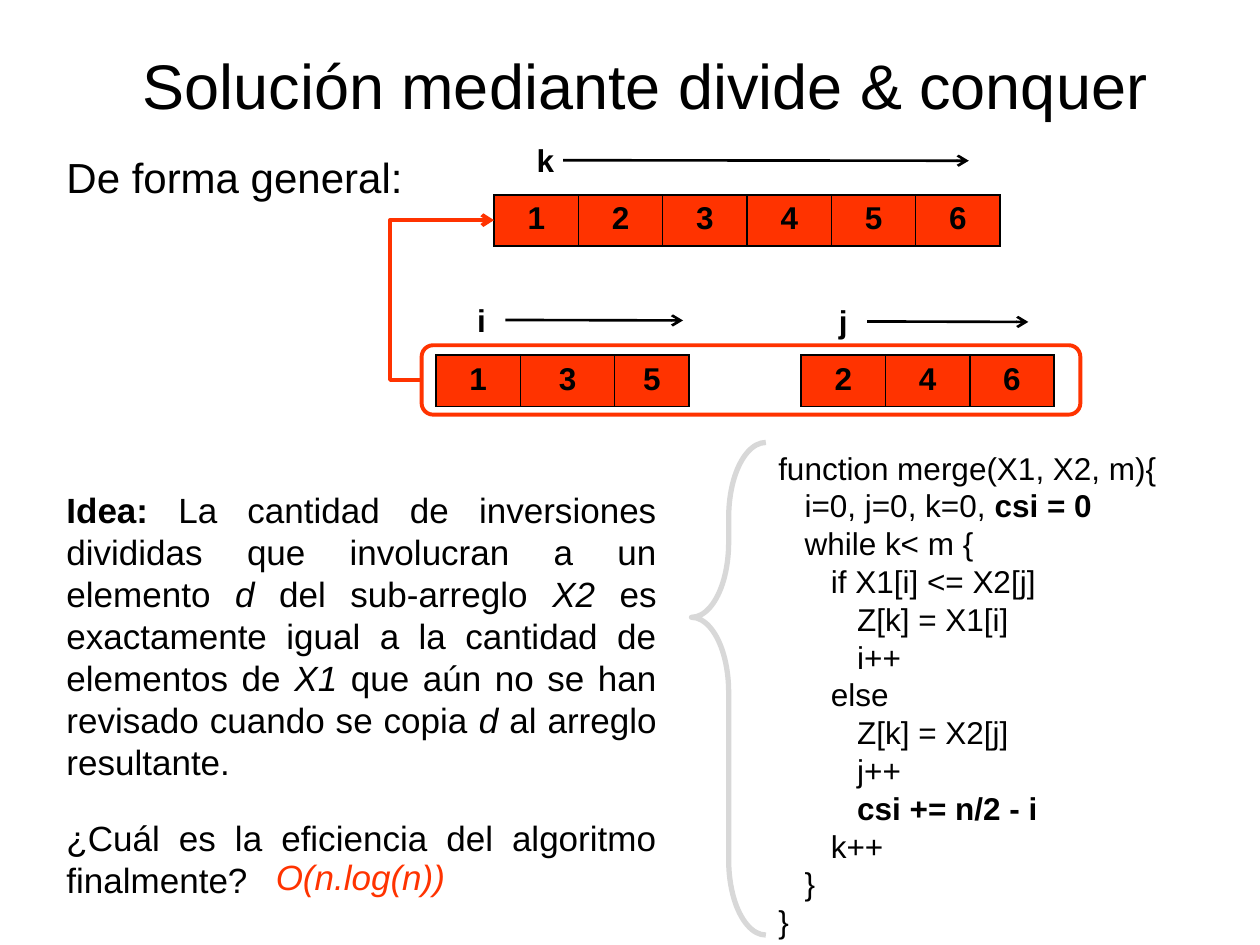
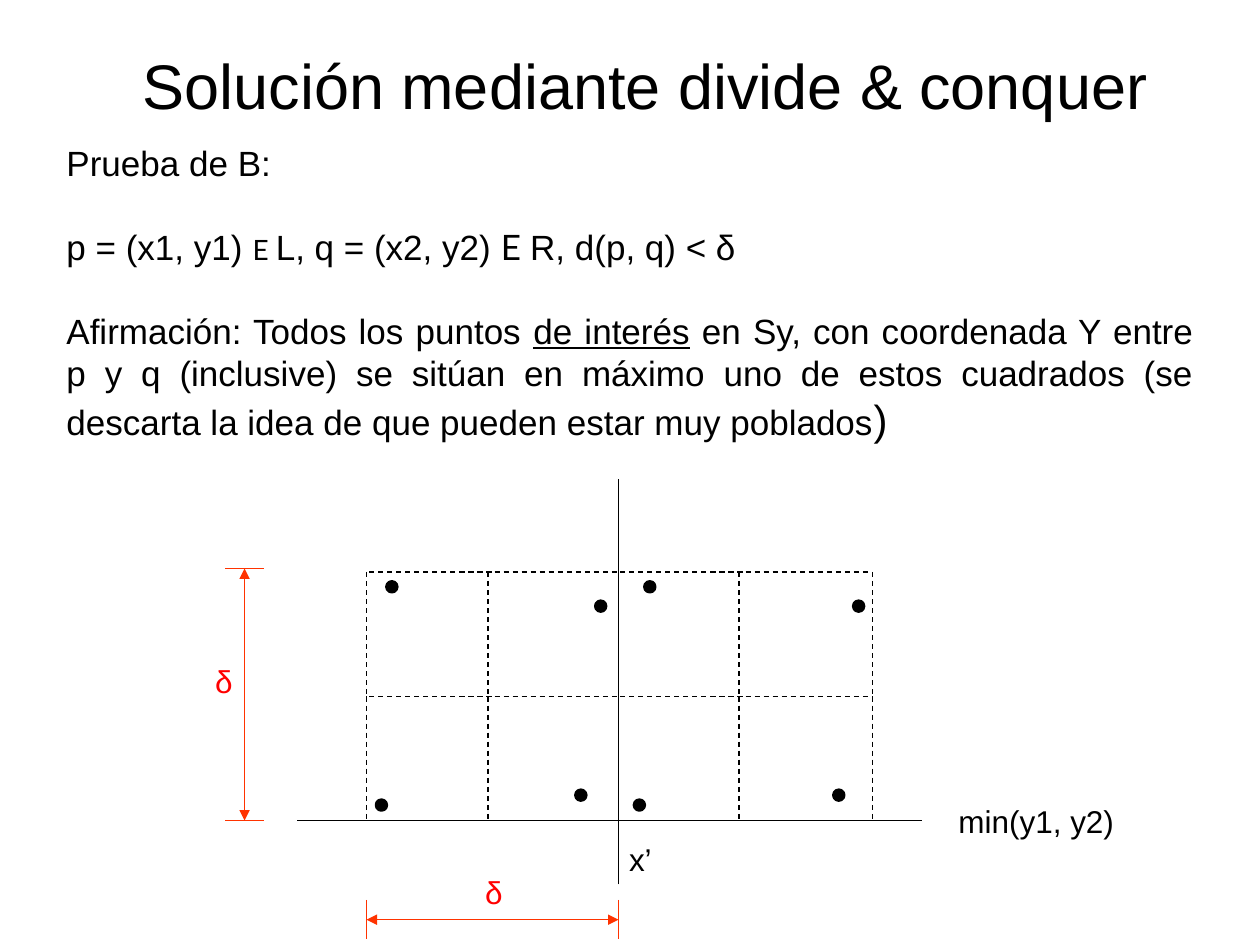
from dataclasses import dataclass
from typing import Optional

from lxml import etree
from pptx import Presentation
from pptx.dml.color import RGBColor
from pptx.enum.dml import MSO_LINE
from pptx.enum.shapes import MSO_CONNECTOR, MSO_SHAPE
from pptx.enum.text import MSO_ANCHOR, PP_ALIGN
from pptx.oxml.ns import qn
from pptx.util import Cm, Pt

STRAIGHT, ELBOW = MSO_CONNECTOR.STRAIGHT, MSO_CONNECTOR.ELBOW
ROUND_BOX, BRACE, DOT = MSO_SHAPE.ROUNDED_RECTANGLE, MSO_SHAPE.LEFT_BRACE, MSO_SHAPE.OVAL
LEFT, CENTER, JUSTIFY = PP_ALIGN.LEFT, PP_ALIGN.CENTER, PP_ALIGN.JUSTIFY
TOP, BOTTOM = MSO_ANCHOR.TOP, MSO_ANCHOR.BOTTOM
DASH = MSO_LINE.DASH

COLORS = {"ink": "000000", "accent": "FF3300", "delta": "FF0000", "brace": "D8D8D8"}
FONT, SYMBOL_FONT = "Arial", "Lato"
TITLE = "Solución mediante divide & conquer"
CODE_INDENT = 0.53


@dataclass
class Span:
    text: str
    bold: bool = False
    italic: bool = False
    underline: bool = False
    size: Optional[float] = None
    font: str = FONT


@dataclass
class Para:
    spans: list[Span]
    indent: float = 0
    before: float = 0


@dataclass
class TextBlock:
    left: float
    top: float
    width: float
    height: float
    paras: list[Para]
    size: float = 18
    align: PP_ALIGN = JUSTIFY
    color: str = "ink"
    anchor: MSO_ANCHOR = TOP
    wrap: bool = True


@dataclass
class Line:
    x1: float
    y1: float
    x2: float
    y2: float
    color: str = "ink"
    width: float = 0.75
    dash: bool = False
    head: str = ""
    tail: str = ""
    kind: MSO_CONNECTOR = STRAIGHT


@dataclass
class ArrayStrip:
    left: float
    top: float
    values: str
    widths: list[float]


def rgb(name: str) -> RGBColor:
    return RGBColor.from_string(COLORS[name])


def plain(text: str, **style) -> list[Para]:
    return [Para([Span(text, **style)])]


def add_span(para, span: Span, size: float, color: str) -> None:
    run = para.add_run()
    run.text = span.text
    font = run.font
    font.name, font.size = span.font, Pt(span.size or size)
    font.bold, font.italic, font.underline = span.bold, span.italic, span.underline
    font.color.rgb = rgb(color)


def add_text(page, block: TextBlock) -> None:
    box = page.shapes.add_textbox(Cm(block.left), Cm(block.top), Cm(block.width), Cm(block.height))
    frame = box.text_frame
    frame.word_wrap, frame.vertical_anchor = block.wrap, block.anchor
    for index, item in enumerate(block.paras):
        para = frame.paragraphs[0] if index == 0 else frame.add_paragraph()
        para.alignment, para.space_before = block.align, Pt(item.before)
        if item.indent:
            para._p.get_or_add_pPr().set("marL", str(Cm(item.indent)))
        for span in item.spans:
            add_span(para, span, block.size, block.color)


def add_line(page, line: Line):
    connector = page.shapes.add_connector(
        line.kind, Cm(line.x1), Cm(line.y1), Cm(line.x2), Cm(line.y2))
    connector.line.color.rgb = rgb(line.color)
    connector.line.width = Pt(line.width)
    if line.dash:
        connector.line.dash_style = DASH
    outline = connector.line._get_or_add_ln()
    for tag, arrow in (("a:headEnd", line.head), ("a:tailEnd", line.tail)):
        if arrow:
            etree.SubElement(outline, qn(tag), type=arrow)
    etree.SubElement(connector._element.spPr, qn("a:effectLst"))
    return connector


def add_figure(page, kind, left: float, top: float, width: float, height: float,
               color: str, weight: float, filled: bool = False):
    shape = page.shapes.add_shape(kind, Cm(left), Cm(top), Cm(width), Cm(height))
    shape.shadow.inherit = False
    shape.line.color.rgb, shape.line.width = rgb(color), Pt(weight)
    if filled:
        shape.fill.solid()
        shape.fill.fore_color.rgb = rgb(color)
    else:
        shape.fill.background()
    return shape


def add_borders(cell) -> None:
    properties = cell._tc.get_or_add_tcPr()
    for index, tag in enumerate(("a:lnL", "a:lnR", "a:lnT", "a:lnB")):
        border = etree.Element(qn(tag), w=str(Pt(1)))
        fill = etree.SubElement(border, qn("a:solidFill"))
        etree.SubElement(fill, qn("a:srgbClr"), val=COLORS["ink"])
        properties.insert(index, border)


def add_strip(page, strip: ArrayStrip) -> None:
    table = page.shapes.add_table(1, len(strip.values), Cm(strip.left), Cm(strip.top),
                                  Cm(sum(strip.widths)), Cm(1.03)).table
    table.first_row = table.horz_banding = False
    for column, (value, width) in enumerate(zip(strip.values, strip.widths)):
        table.columns[column].width = Cm(width)
        cell = table.cell(0, column)
        cell.fill.solid()
        cell.fill.fore_color.rgb = rgb("accent")
        add_borders(cell)
        para = cell.text_frame.paragraphs[0]
        para.alignment = CENTER
        add_span(para, Span(value, bold=True), 18, "ink")


def add_page(deck):
    page = deck.slides.add_slide(deck.slide_layouts[6])
    add_text(page, TextBlock(2.11, 0.53, 21.79, 2.06, plain(TITLE), 36, CENTER, anchor=BOTTOM))
    return page


def build_merge_page(deck) -> None:
    page = add_page(deck)
    add_text(page, TextBlock(1.09, 2.92, 23.22, 1.4, plain("De forma general:"), 24))

    # Merged array above its two sorted halves
    for strip in (ArrayStrip(8.79, 7.16, "135", [1.7, 1.9, 1.5]),
                  ArrayStrip(16.15, 7.16, "246", [1.7] * 3),
                  ArrayStrip(9.96, 3.93, "123456", [1.7] * 6)):
        add_strip(page, strip)
    add_figure(page, ROUND_BOX, 8.5, 6.96, 13.28, 1.4, "accent", 2.25)
    feed = add_line(page, Line(8.5, 7.66, 9.96, 4.44, "accent", 2.25, tail="arrow", kind=ELBOW))
    guides = feed._element.spPr.find(qn("a:prstGeom")).get_or_add_avLst()
    etree.SubElement(guides, qn("a:gd"), name="adj1", fmla="val -43500")

    # Index names with their direction of travel
    for name, left, top, start, end in (("k", 10.57, 2.72, 11.35, 19.53),
                                        ("i", 9.37, 5.94, 10.19, 13.77),
                                        ("j", 16.66, 5.97, 17.48, 20.73)):
        add_text(page, TextBlock(left, top, 0.79, 1.02, plain(name, bold=True), align=LEFT))
        add_line(page, Line(start, top + 0.51, end, top + 0.52, width=1.5, tail="arrow"))

    # Pseudocode: depth, plain part, bold part
    code = [
        (0, "function merge(X1, X2, m){", ""),
        (1, "i=0, j=0, k=0, ", "csi = 0"),
        (1, "while k< m {", ""),
        (2, "if X1[i] <= X2[j]", ""),
        (3, "Z[k] = X1[i]", ""),
        (3, "i++", ""),
        (2, "else", ""),
        (3, "Z[k] = X2[j]", ""),
        (3, "j++", ""),
        (3, "", "csi += n/2 - i"),
        (2, "k++", ""),
        (1, "}", ""),
        (0, "}", ""),
    ]
    code_paras = [
        Para([Span(text, bold) for text, bold in ((normal, False), (strong, True)) if text],
             indent=depth * CODE_INDENT)
        for depth, normal, strong in code]
    add_text(page, TextBlock(15.44, 8.92, 8.64, 9.93, code_paras))
    brace = add_figure(page, BRACE, 13.94, 8.92, 1.5, 9.93, "brace", 3)
    brace.adjustments[0], brace.adjustments[1] = 1.008, 0.355

    # Idea and efficiency
    idea = Para([
        Span("Idea:", bold=True),
        Span(" La cantidad de inversiones divididas que involucran a un elemento "),
        Span("d", italic=True),
        Span(" del sub-arreglo "),
        Span("X2", italic=True),
        Span(" es exactamente igual a la cantidad de elementos de "),
        Span("X1", italic=True),
        Span(" que aún no se han revisado cuando se copia "),
        Span("d", italic=True),
        Span(" al arreglo resultante."),
    ])
    add_text(page, TextBlock(1.09, 9.73, 12.4, 6.2, [idea], 20))
    question = plain("¿Cuál es la eficiencia del algoritmo finalmente?")
    add_text(page, TextBlock(1.09, 16.33, 12.4, 2.21, question, 20))
    add_text(page, TextBlock(5.31, 17.12, 4.24, 1.09, plain("O(n.log(n))", italic=True), 20,
                             color="accent"))


def build_proof_page(deck) -> None:
    page = add_page(deck)
    proof = [
        Para([Span("Prueba de B:")]),
        Para([Span("p = (x1, y1) "), Span("E ", size=16, font=SYMBOL_FONT),
              Span("L, q = (x2, y2) "), Span("E ", font=SYMBOL_FONT),
              Span("R, d(p, q) < δ")], before=24),
        Para([Span("Afirmación: Todos los puntos "), Span("de interés", underline=True),
              Span(" en Sy, con coordenada Y entre p y q (inclusive) se sitúan en máximo uno de "
                   "estos cuadrados (se descarta la idea de que pueden estar muy poblados"),
              Span(")", size=24)], before=24),
    ]
    add_text(page, TextBlock(1.09, 2.72, 23.22, 6.2, proof, 20))

    # Axes
    left, axis, base = 7.39, 12.47, 16.54
    add_line(page, Line(5.99, base, 18.59, base))
    add_line(page, Line(axis, 17.83, axis, 9.65))

    # Dashed squares
    row_tops = (11.53, 14.04)
    for top in row_tops:
        for column in range(4):
            start = 7.44 + 2.53 * column
            add_line(page, Line(start, top, start + 2.5, top, dash=True))
        for x in (left, 9.84, 14.9, 17.59):
            add_line(page, Line(x, top, x, top + 2.5, dash=True))

    # Points, the same four on each side of the axis
    for shift in (0, 5.2):
        for x, y in ((7.8, 11.73), (7.59, 16.13), (11.61, 15.93), (12.01, 12.12)):
            add_figure(page, DOT, x + shift, y, 0.2, 0.2, "ink", 2, filled=True)

    # Delta measures with end ticks
    measure_top, measure_x, measure_y = 11.46, 4.93, 18.54
    for ends in ((left, measure_y, axis, measure_y), (measure_x, measure_top, measure_x, base)):
        add_line(page, Line(*ends, "accent", head="triangle", tail="triangle"))
    for x in (left, axis):
        add_line(page, Line(x, measure_y - 0.4, x, measure_y + 0.4, "accent"))
    for y in (measure_top, base):
        add_line(page, Line(measure_x + 0.39, y, measure_x - 0.39, y, "accent"))
    for x, y in ((9.53, 17.48), (4.09, 13.23)):
        add_text(page, TextBlock(x, y, 0.86, 1.02, plain("δ"), align=LEFT, color="delta",
                                 wrap=False))

    # Axis names
    add_text(page, TextBlock(12.01, 16.81, 1.8, 1.02, plain("x’"), align=CENTER))
    add_text(page, TextBlock(19, 16.05, 3.78, 1.02, plain("min(y1, y2)"), align=CENTER))


def main() -> None:
    deck = Presentation()
    deck.slide_width, deck.slide_height = Cm(25.4), Cm(19.05)
    build_merge_page(deck)
    build_proof_page(deck)
    deck.save("out.pptx")


if __name__ == "__main__":
    main()
